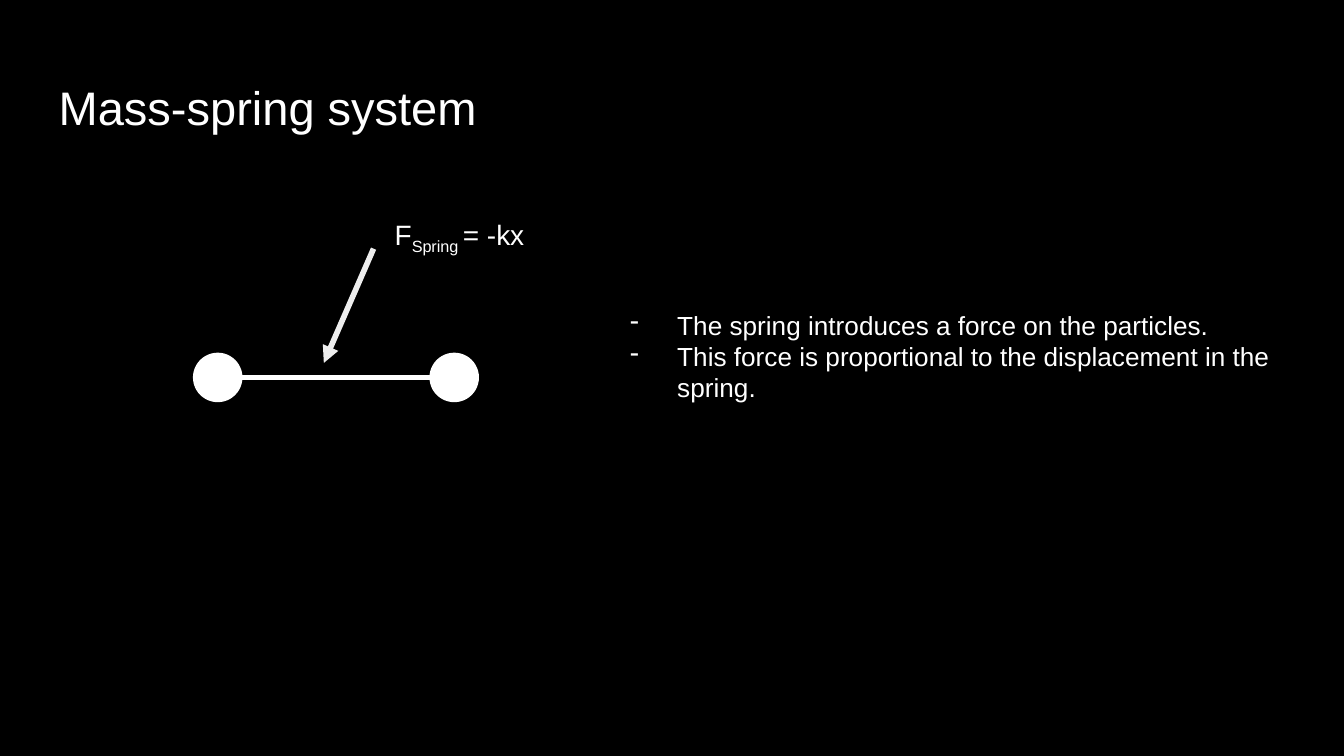
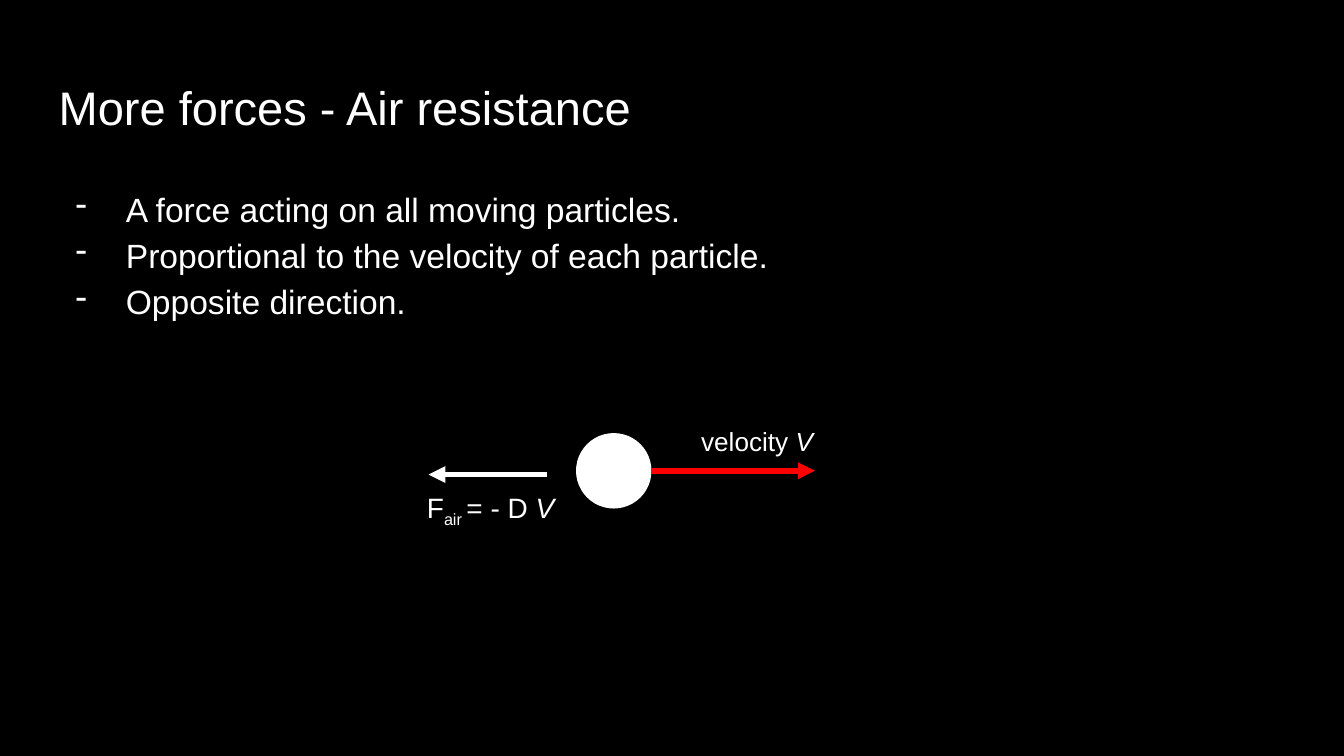
import pptx
import pptx.util
import pptx.dml.color
import pptx.enum.shapes
import pptx.enum.text
import pptx.oxml.ns
from lxml import etree

Cm, Pt = pptx.util.Cm, pptx.util.Pt
RGBColor = pptx.dml.color.RGBColor

BLACK = RGBColor(0x00, 0x00, 0x00)
WHITE = RGBColor(0xFF, 0xFF, 0xFF)
PALE = RGBColor(0xEE, 0xEE, 0xEE)
RED = RGBColor(0xFF, 0x00, 0x00)
FONT = "Arial"
INSET = 0.25
LEFT, WIDTH = 0.86, 23.67
SUB, ITALIC = "subscript", "italic"

# Content: each paragraph is a list of (text, style) spans
SPRING_TITLE = "Mass-spring system"
SPRING_FORCE = [("F", None), ("Spring ", SUB), ("= -kx", None)]
SPRING_POINTS = [
    "The spring introduces a force on the particles.",
    "This force is proportional to the displacement in the spring.",
]
AIR_TITLE = "More forces - Air resistance"
AIR_POINTS = [
    "A force acting on all moving particles.",
    "Proportional to the velocity of each particle.",
    "Opposite direction.",
]
AIR_FORCE = [("F", None), ("air ", SUB), ("= - D ", None), ("V", ITALIC)]
VELOCITY = [("velocity ", None), ("V", ITALIC)]


def add_bullet(para, indent):
    properties = para._p.get_or_add_pPr()
    properties.set("marL", str(Cm(1.27)))
    properties.set("indent", str(-Cm(indent)))
    colour = etree.SubElement(properties, pptx.oxml.ns.qn("a:buClr"))
    etree.SubElement(colour, pptx.oxml.ns.qn("a:srgbClr"), val=str(WHITE))
    etree.SubElement(properties, pptx.oxml.ns.qn("a:buChar"), char="-")


def add_text(page, place, paragraphs, size, grow=True, bullet_indent=None, **spacing):
    box = page.shapes.add_textbox(*map(Cm, place))
    frame = box.text_frame
    auto_size = pptx.enum.text.MSO_AUTO_SIZE
    frame_format = {
        "word_wrap": True,
        "auto_size": auto_size.SHAPE_TO_FIT_TEXT if grow else auto_size.NONE,
        "vertical_anchor": pptx.enum.text.MSO_ANCHOR.TOP,
    }
    for side in ("left", "top", "right", "bottom"):
        frame_format["margin_" + side] = Cm(INSET)
    for name, value in frame_format.items():
        setattr(frame, name, value)
    for number, spans in enumerate(paragraphs):
        para = frame.add_paragraph() if number else frame.paragraphs[0]
        for name, value in spacing.items():
            setattr(para, name, value)
        if bullet_indent:
            add_bullet(para, bullet_indent)
        for text, style in spans:
            span = para.add_run()
            span.text = text
            font_format = {"name": FONT, "size": Pt(size)}
            if style == ITALIC:
                font_format["italic"] = True
            for name, value in font_format.items():
                setattr(span.font, name, value)
            span.font.color.rgb = WHITE
            if style == SUB:
                span._r.get_or_add_rPr().set("baseline", "-25000")


def add_points(page, place, points, size, indent, **options):
    paragraphs = [[(point, None)] for point in points]
    add_text(page, place, paragraphs, size, bullet_indent=indent, **options)


def add_particle(page, left, top, diameter):
    particle = page.shapes.add_shape(
        pptx.enum.shapes.MSO_SHAPE.OVAL, Cm(left), Cm(top), Cm(diameter), Cm(diameter))
    particle.shadow.inherit = False
    particle.fill.solid()
    particle.fill.fore_color.rgb = WHITE
    particle.line.color.rgb = WHITE
    particle.line.width = Pt(0.75)


def add_line(page, start, end, colour, arrow=True):
    line = page.shapes.add_connector(
        pptx.enum.shapes.MSO_CONNECTOR.STRAIGHT, *map(Cm, start + end))
    line.line.color.rgb = colour
    line.line.width = Pt(3)
    if arrow:
        etree.SubElement(line.line._get_or_add_ln(), pptx.oxml.ns.qn("a:tailEnd"),
                         type="triangle")
    etree.SubElement(line._element.spPr, pptx.oxml.ns.qn("a:effectLst"))


def add_page(deck, title):
    page = deck.slides.add_slide(deck.slide_layouts[6])
    page.background.fill.solid()
    page.background.fill.fore_color.rgb = BLACK
    add_text(page, (LEFT, 1.24, WIDTH, 1.6), [[(title, None)]], 25.2, grow=False)
    return page


def build_spring_page(deck):
    page = add_page(deck, SPRING_TITLE)

    # Two particles joined by a spring
    first, second, top, diameter = 3.66, 8.13, 6.68, 0.91
    for left in (first, second):
        add_particle(page, left, top, diameter)
    middle = top + diameter / 2
    add_line(page, (first + diameter, middle), (second, middle), WHITE, arrow=False)

    # Force label and its pointer
    add_text(page, (7.21, 3.86, 3.76, 1.14), [SPRING_FORCE], 15)
    add_line(page, (7.06, 4.7), (6.12, 6.86), PALE)

    add_points(page, (11.28, 5.59, 13.26, 2.31), SPRING_POINTS, 14, 0.89)


def build_air_page(deck):
    page = add_page(deck, AIR_TITLE)
    add_points(page, (LEFT, 3.2, WIDTH, 4.6), AIR_POINTS, 18, 0.95,
               grow=False, line_spacing=1.15)
    add_text(page, (7.82, 8.92, 6.53, 1.14), [AIR_FORCE], 15,
             line_spacing=1.15, space_after=Pt(12))

    # Moving particle with its velocity
    left, top, diameter = 10.9, 8.2, 1.4
    add_particle(page, left, top, diameter)
    middle = top + diameter / 2
    add_line(page, (left + diameter, middle), (15.4, middle), RED)
    add_text(page, (13, 7.8, 3.76, 1.12), [VELOCITY], 14)

    # Opposing air force
    add_line(page, (10.34, 8.97), (8.1, 8.97), WHITE)


def main():
    deck = pptx.Presentation()
    deck.slide_width, deck.slide_height = Cm(25.4), Cm(14.29)
    build_spring_page(deck)
    build_air_page(deck)
    deck.save("out.pptx")


if __name__ == "__main__":
    main()
